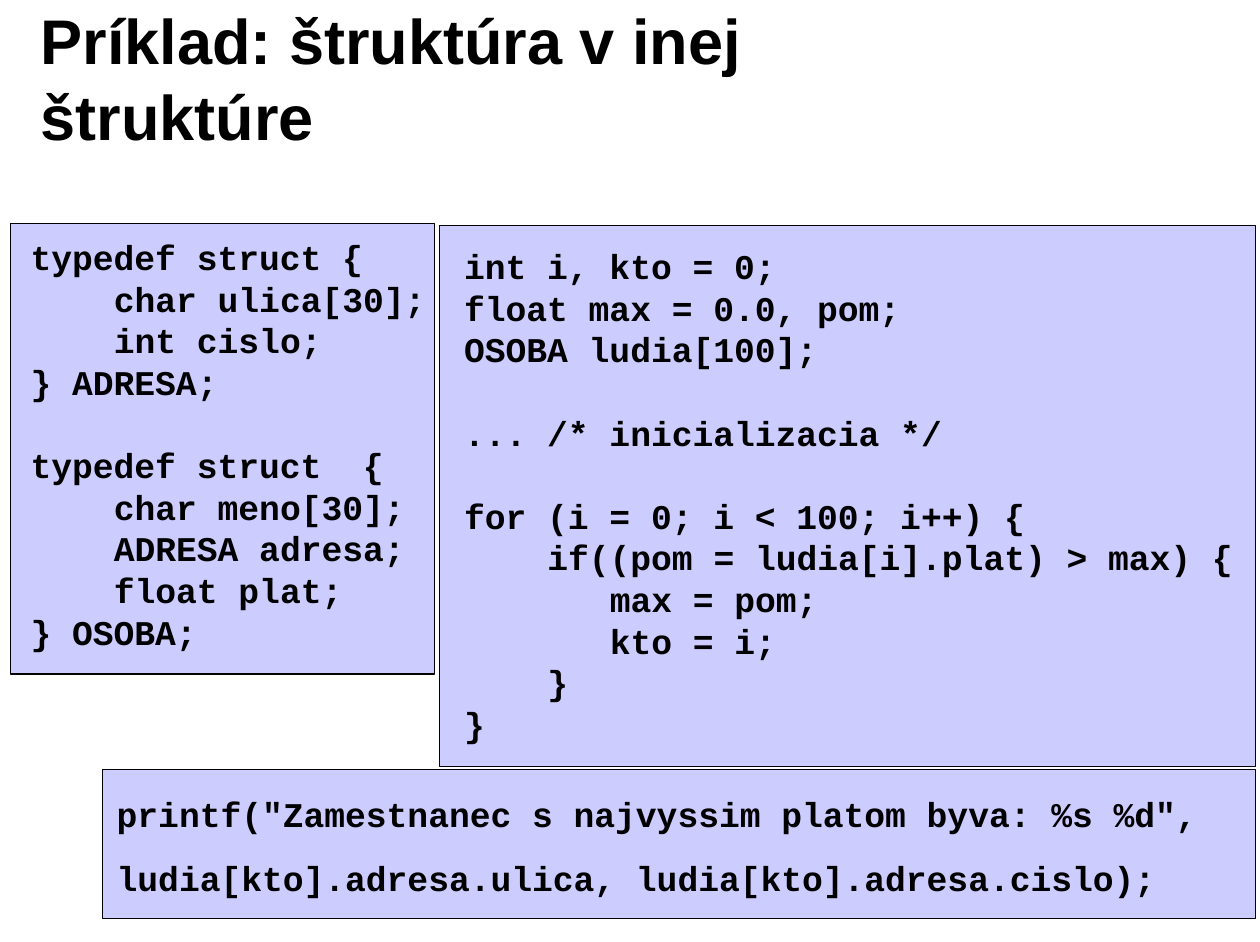
from dataclasses import dataclass

from pptx import Presentation
from pptx.dml.color import RGBColor
from pptx.enum.shapes import MSO_SHAPE
from pptx.enum.text import MSO_ANCHOR
from pptx.slide import Slide
from pptx.util import Inches, Pt

BLACK = RGBColor(0x00, 0x00, 0x00)
LAVENDER = RGBColor(0xCC, 0xCC, 0xFF)
WIDTH, HEIGHT = 11.1, 8.3
CODE_SIZE = 22
CHAR_WIDTH = 0.6 * CODE_SIZE
LINE_RATIO = 1.2

Box = tuple[float, float, float, float]  # left, top, width, height as shares of the slide


@dataclass(frozen=True)
class CodePanel:
    frame: Box
    text: Box
    code: str
    inset: tuple[float, float] = (0.1, 0.05)
    gap: float = 0


ADDRESS_TYPES = """typedef struct {
    char ulica[30];
    int cislo;
} ADRESA;

typedef struct  {
    char meno[30];
    ADRESA adresa;
    float plat;
} OSOBA;"""

SEARCH_LOOP = """int i, kto = 0;
float max = 0.0, pom;
OSOBA ludia[100];

... /* inicializacia */

for (i = 0; i < 100; i++) {
    if((pom = ludia[i].plat) > max) {
       max = pom;
       kto = i;
    }
}"""

PRINT_RESULT = """printf("Zamestnanec s najvyssim platom byva: %s %d",
ludia[kto].adresa.ulica, ludia[kto].adresa.cislo);"""

PANELS = [
    CodePanel((0.0081, 0.2373, 0.3369, 0.4783), (0.0144, 0.2433, 0.3369, 0.4554),
              ADDRESS_TYPES, inset=(0.11, 0.06)),
    CodePanel((0.3486, 0.2398, 0.6477, 0.5735), (0.3595, 0.2542, 0.6387, 0.5422),
              SEARCH_LOOP),
    CodePanel((0.0811, 0.8169, 0.9153, 0.1578), (0.0838, 0.8362, 0.8928, 0.1241),
              PRINT_RESULT, gap=13.8),
]


def place(box: Box) -> list[int]:
    """Turn shares of the slide into lengths."""
    return [Inches(share * side) for share, side in zip(box, (WIDTH, HEIGHT) * 2)]


def add_text(s: Slide, box: Box, text: str, *, font: str, size: float,
             inset: tuple[float, float], gap: float = 0,
             anchor: MSO_ANCHOR = MSO_ANCHOR.TOP) -> None:
    """Leading spaces become indents, and empty lines become space before the next line."""
    tf = s.shapes.add_textbox(*place(box)).text_frame
    tf.word_wrap = True
    tf.vertical_anchor = anchor
    tf.margin_left = tf.margin_right = Inches(inset[0])
    tf.margin_top = tf.margin_bottom = Inches(inset[1])
    p, before = tf.paragraphs[0], 0
    for i, line in enumerate(text.split("\n")):
        if not line:
            before += LINE_RATIO * size
            continue
        if i:
            p = tf.add_paragraph()
        code = line.lstrip()
        indent = len(line) - len(code)
        if indent:
            p._p.get_or_add_pPr().set("marL", str(Pt(indent * CHAR_WIDTH)))
        p.line_spacing = Pt(LINE_RATIO * size)
        p.space_before = Pt(before)
        before = gap
        r = p.add_run()
        r.text = code
        r.font.name, r.font.size, r.font.bold = font, Pt(size), True
        r.font.color.rgb = BLACK


def add_panel(s: Slide, panel: CodePanel) -> None:
    sp = s.shapes.add_shape(MSO_SHAPE.RECTANGLE, *place(panel.frame))
    sp.shadow.inherit = False
    sp.fill.solid()
    sp.fill.fore_color.rgb = LAVENDER
    sp.line.color.rgb = BLACK
    sp.line.width = Pt(0.75)
    add_text(s, panel.text, panel.code, font="Courier New", size=CODE_SIZE,
             inset=panel.inset, gap=panel.gap)


def main() -> None:
    prs = Presentation()
    prs.slide_width, prs.slide_height = Inches(WIDTH), Inches(HEIGHT)
    s = prs.slides.add_slide(prs.slide_layouts[6])
    add_text(s, (0.0225, 0.0205, 0.8036, 0.1229), "Príklad: štruktúra v inej štruktúre",
             font="Arial", size=40, inset=(0.11, 0.06), anchor=MSO_ANCHOR.MIDDLE)
    for panel in PANELS:
        add_panel(s, panel)
    prs.save("out.pptx")


if __name__ == "__main__":
    main()
